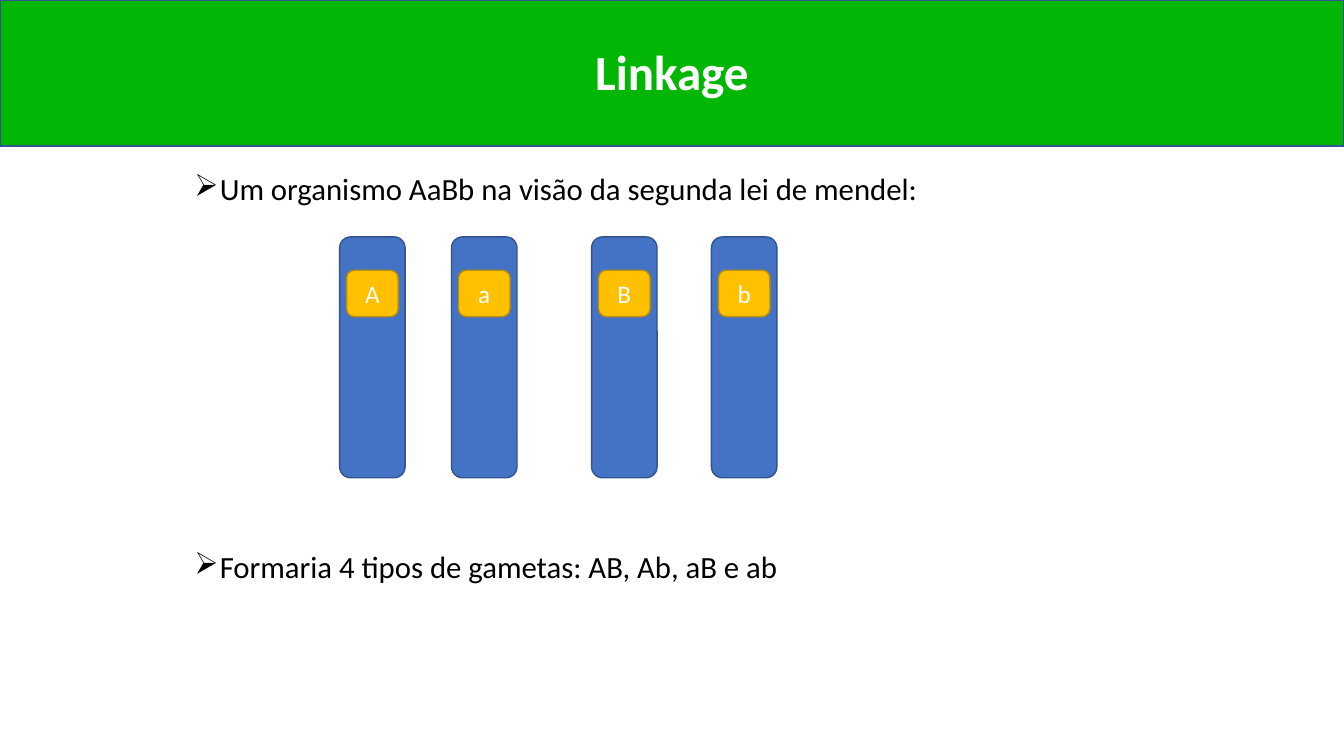
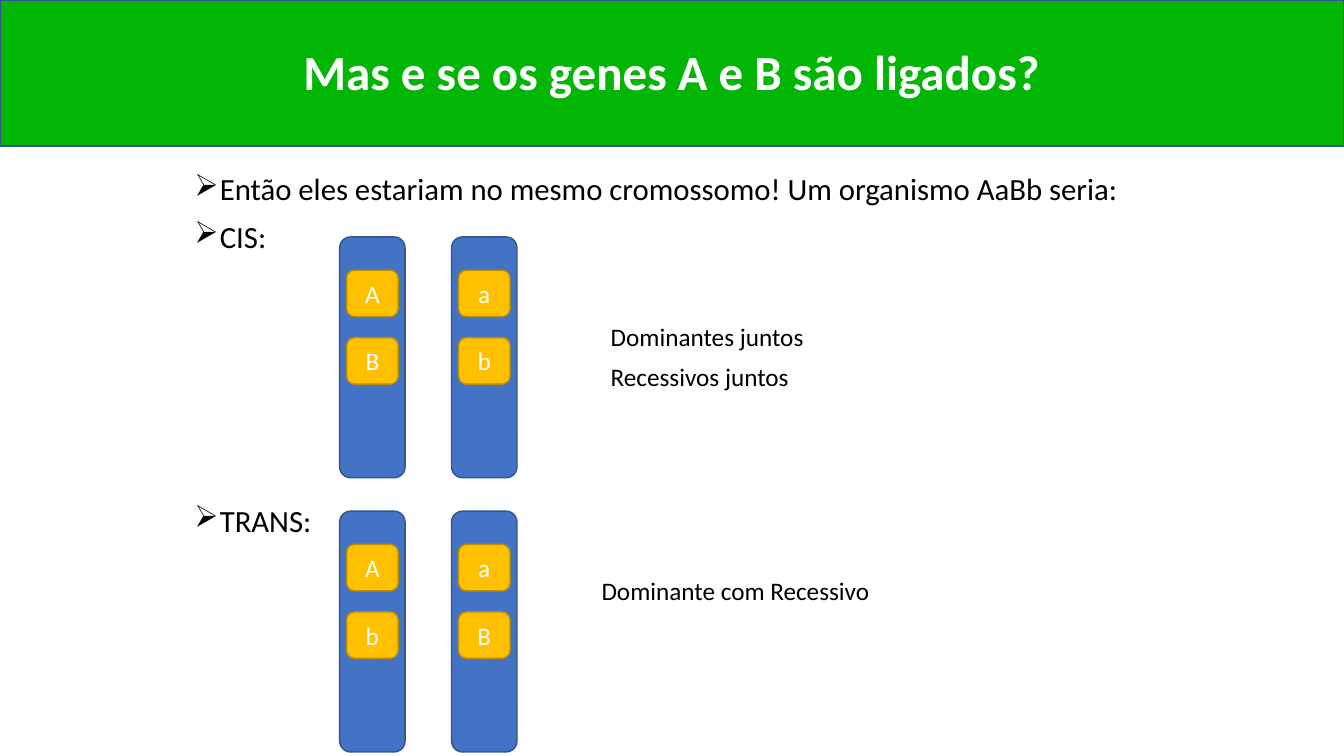
from lxml import etree
from pptx import Presentation
from pptx.dml.color import RGBColor
from pptx.enum.shapes import MSO_SHAPE
from pptx.enum.text import MSO_ANCHOR, PP_ALIGN
from pptx.oxml.ns import qn
from pptx.util import Cm, Pt

RECTANGLE, ROUNDED = MSO_SHAPE.RECTANGLE, MSO_SHAPE.ROUNDED_RECTANGLE
MIDDLE = MSO_ANCHOR.MIDDLE
CENTER, JUSTIFY, LEFT = PP_ALIGN.CENTER, PP_ALIGN.JUSTIFY, PP_ALIGN.LEFT

FONT = "Calibri"
COLORS = {
    "band": "02B606",
    "chromosome": "4472C4",
    "blue line": "325491",
    "gene": "FFC000",
    "gene line": "BD8E00",
    "white": "FFFFFF",
    "black": "000000",
}

# Lengths in cm, paragraph spacing in points.
SLIDE_WIDTH, SLIDE_HEIGHT = 33.87, 19.05
BAND_HEIGHT = 3.68
BODY_BOX = (4.65, 4.27, 24.49, 14.48)
CHROMOSOME_WIDTH, CHROMOSOME_HEIGHT = 1.65, 6.07
GENE_WIDTH, GENE_HEIGHT = 1.3, 1.17
GENE_OFFSET, GENE_PITCH = 0.84, 1.7
NOTE_HEIGHT = 1.02
FIRST_ROW, SECOND_ROW = 5.97, 12.88
COLUMNS = (8.56, 11.38, 14.91, 17.93)

# bullets: (text, space before); rows: (top, genes of each chromosome);
# notes: (text, left, top, width)
SLIDES = [
    {
        "title": "Linkage",
        "bullets": [
            ("Um organismo AaBb na visão da segunda lei de mendel:", 0),
            ("Formaria 4 tipos de gametas: AB, Ab, aB e ab", 246),
        ],
        "rows": [(FIRST_ROW, ["A", "a", "B", "b"])],
        "notes": [],
    },
    {
        "title": "Mas e se os genes A e B são ligados?",
        "bullets": [
            ("Então eles estariam no mesmo cromossomo! Um organismo AaBb seria:", 0),
            ("CIS:", 10),
            ("TRANS:", 179),
        ],
        "rows": [(FIRST_ROW, ["AB", "ab"]), (SECOND_ROW, ["Ab", "aB"])],
        "notes": [
            ("Dominantes juntos", 15.14, 7.98, 5.44),
            ("Recessivos juntos", 15.14, 8.99, 5.05),
            ("Dominante com Recessivo", 14.91, 14.38, 7.34),
        ],
    },
]


def color(name):
    return RGBColor.from_string(COLORS[name])


def add_block(slide, preset, box, fill, line):
    shape = slide.shapes.add_shape(preset, *map(Cm, box))
    shape.shadow.inherit = False
    shape.fill.solid()
    shape.fill.fore_color.rgb = color(fill)
    shape.line.color.rgb = color(line)
    shape.line.width = Pt(1)
    return shape


def format_paragraph(paragraph, size, color_name, alignment, bold=False):
    paragraph.alignment = alignment
    for run in paragraph.runs:
        run.font.name = FONT
        run.font.size = Pt(size)
        run.font.bold = bold
        run.font.color.rgb = color(color_name)


def add_title(slide, title):
    box = (0, 0, SLIDE_WIDTH, BAND_HEIGHT)
    band = add_block(slide, RECTANGLE, box, "band", "blue line")
    frame = band.text_frame
    frame.text = title
    frame.vertical_anchor = MIDDLE
    frame.margin_top, frame.margin_bottom = Cm(0.23), Cm(0.13)
    format_paragraph(frame.paragraphs[0], 35, "white", CENTER, bold=True)
    frame.paragraphs[0].line_spacing = 0.9


def add_bullets(slide, bullets):
    frame = slide.shapes.add_textbox(*map(Cm, BODY_BOX)).text_frame
    frame.word_wrap = True
    frame.text = "\n".join(text for text, _ in bullets)
    for paragraph, (_, space_before) in zip(frame.paragraphs, bullets):
        properties = paragraph._p.get_or_add_pPr()
        properties.set("marL", str(Cm(0.64)))
        properties.set("indent", str(-Cm(0.64)))
        etree.SubElement(properties, qn("a:buChar")).set("char", "➢")
        paragraph.line_spacing = 0.9
        paragraph.space_before = Pt(space_before)
        format_paragraph(paragraph, 22, "black", JUSTIFY)


def add_chromosome(slide, left, top, genes):
    box = (left, top, CHROMOSOME_WIDTH, CHROMOSOME_HEIGHT)
    add_block(slide, ROUNDED, box, "chromosome", "blue line")
    gene_left = left + (CHROMOSOME_WIDTH - GENE_WIDTH) / 2
    for index, letter in enumerate(genes):
        gene_top = top + GENE_OFFSET + index * GENE_PITCH
        gene_box = (gene_left, gene_top, GENE_WIDTH, GENE_HEIGHT)
        gene = add_block(slide, ROUNDED, gene_box, "gene", "gene line")
        gene.text_frame.text = letter
        gene.text_frame.vertical_anchor = MIDDLE
        format_paragraph(gene.text_frame.paragraphs[0], 18, "white", CENTER)


def add_note(slide, text, left, top, width):
    box = (left, top, width, NOTE_HEIGHT)
    frame = slide.shapes.add_textbox(*map(Cm, box)).text_frame
    frame.word_wrap = False
    frame.text = text
    format_paragraph(frame.paragraphs[0], 18, "black", LEFT)


def main():
    presentation = Presentation()
    presentation.slide_width = Cm(SLIDE_WIDTH)
    presentation.slide_height = Cm(SLIDE_HEIGHT)
    blank_layout = presentation.slide_layouts[6]
    for content in SLIDES:
        slide = presentation.slides.add_slide(blank_layout)
        add_title(slide, content["title"])
        add_bullets(slide, content["bullets"])
        for top, chromosomes in content["rows"]:
            for left, genes in zip(COLUMNS, chromosomes):
                add_chromosome(slide, left, top, genes)
        for note in content["notes"]:
            add_note(slide, *note)
    presentation.save("out.pptx")


if __name__ == "__main__":
    main()
